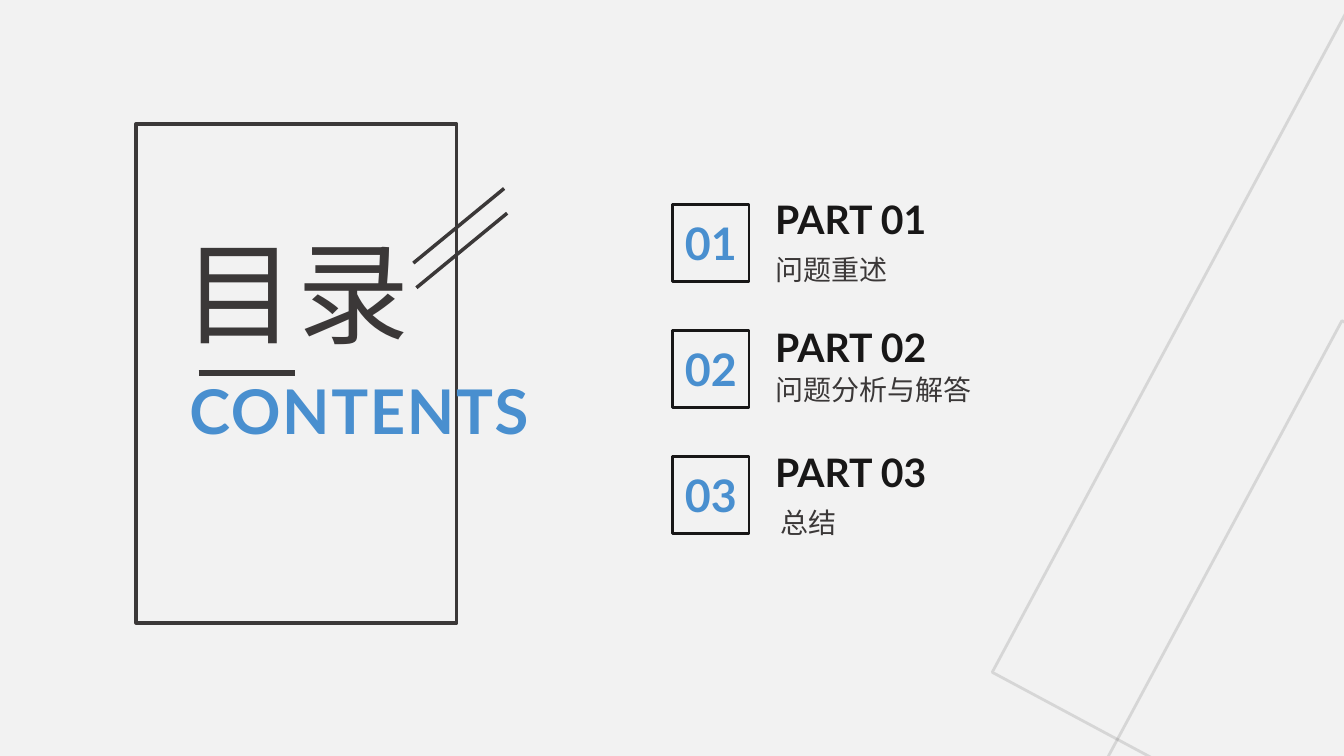
import pptx
import pptx.util
import pptx.dml.color
import pptx.enum.shapes
import pptx.enum.text
import pptx.oxml.ns
from lxml import etree

Inches, Pt = pptx.util.Inches, pptx.util.Pt
qn = pptx.oxml.ns.qn
COLORS = {"bg": "F2F2F2", "gray": "3B3838", "black": "181717", "blue": "498FCF"}
LATIN, CJK = "Lato", "Noto Sans CJK SC"


def rgb(name):
    return pptx.dml.color.RGBColor.from_string(COLORS[name])


def add_frame(s, x, y, w, h, color, width, rotation=0, alpha=None):
    """Unfilled rectangle, with optional line opacity in percent."""
    sp = s.shapes.add_shape(pptx.enum.shapes.MSO_SHAPE.RECTANGLE,
                            Inches(x), Inches(y), Inches(w), Inches(h))
    sp.shadow.inherit = False
    sp.fill.background()
    sp.line.color.rgb = rgb(color)
    sp.line.width = Pt(width)
    sp.rotation = rotation
    if alpha is not None:
        clr = sp.line._get_or_add_ln().find(".//" + qn("a:srgbClr"))
        etree.SubElement(clr, qn("a:alpha")).set("val", str(alpha * 1000))


def add_line(s, x1, y1, x2, y2, width):
    ln = s.shapes.add_connector(pptx.enum.shapes.MSO_CONNECTOR.STRAIGHT,
                                Inches(x1), Inches(y1), Inches(x2), Inches(y2))
    ln.line.color.rgb = rgb("gray")
    ln.line.width = Pt(width)
    etree.SubElement(ln._element.spPr, qn("a:effectLst"))


def add_text(s, x, y, w, h, text, size, font, color, bold=False,
             center=False, tracking=0, leading=None):
    tf = s.shapes.add_textbox(Inches(x), Inches(y), Inches(w), Inches(h)).text_frame
    tf.word_wrap = True
    p = tf.paragraphs[0]
    if center:
        p.alignment = pptx.enum.text.PP_ALIGN.CENTER
    if leading:
        p.line_spacing = Pt(leading)
    r = p.add_run()
    r.text = text
    r.font.name = font
    r.font.size = Pt(size)
    r.font.bold = bold
    r.font.color.rgb = rgb(color)
    rpr = r.font._element
    etree.SubElement(rpr, qn("a:ea")).set("typeface", font)
    if tracking:
        rpr.set("spc", str(round(tracking * 100)))


def add_background(s, x, ys, size):
    """Two large faint squares running off the right edge."""
    s.background.fill.solid()
    s.background.fill.fore_color.rgb = rgb("bg")
    for dx, y in zip((0.08, 0), ys):
        add_frame(s, x + dx, y, size, size, "gray", 2, rotation=298.2, alpha=15)


def add_title_panel(s, x, y, w, h):
    add_frame(s, x, y, w, h, "gray", 2.5)
    add_text(s, x + 0.43, y + 2.42, 4.72, 0.84, "CONTENTS", 44, LATIN, "blue",
             bold=True, tracking=1.2)
    add_line(s, x + 0.62, y + 2.47, x + 1.58, y + 2.47, 4)
    add_text(s, x + 0.37, y + 1.55, 4.16, 0.94, "目录", 80, CJK, "gray",
             tracking=1.3, leading=52)
    # Pair of slanted strokes across the right side
    for dx, dy in ((0, 0), (0.03, 0.245)):
        add_line(s, x + 3.65 + dx, y + 0.64 + dy, x + 2.75 + dx, y + 1.38 + dy, 2.5)


def add_part(s, x, y, number, topic, heading_dy, topic_dx, topic_dy):
    """Numbered box with a heading and its topic to the right."""
    box = 0.76
    add_frame(s, x, y, box, box, "black", 2)
    add_text(s, x, y + 0.06, box, 0.64, number, 32, LATIN, "blue",
             bold=True, center=True)
    add_text(s, x + 0.92, y + heading_dy, 2.25, 0.57, f"PART {number}", 28,
             LATIN, "black", bold=True)
    add_text(s, x + 0.92 + topic_dx, y + topic_dy, 3.41, 0.44, topic, 20, CJK, "gray")


def add_part_list(s, x, y, pitch):
    # topic, heading offset, topic offsets
    parts = [("问题重述", -0.14, 0, 0.43),
             ("问题分析与解答", -0.12, 0, 0.37),
             ("总结", -0.13, 0.05, 0.44)]
    for i, (topic, *offsets) in enumerate(parts):
        add_part(s, x, y + i * pitch, f"{i + 1:02d}", topic, *offsets)


def main():
    prs = pptx.Presentation()
    prs.slide_width, prs.slide_height = Inches(13.33), Inches(7.5)
    s = prs.slides.add_slide(prs.slide_layouts[6])
    add_background(s, 11.09, (1.38, 4.51), 7.51)
    add_title_panel(s, 1.35, 1.23, 3.18, 4.95)
    add_part_list(s, 6.67, 2.03, 1.25)
    prs.save("out.pptx")


if __name__ == "__main__":
    main()
